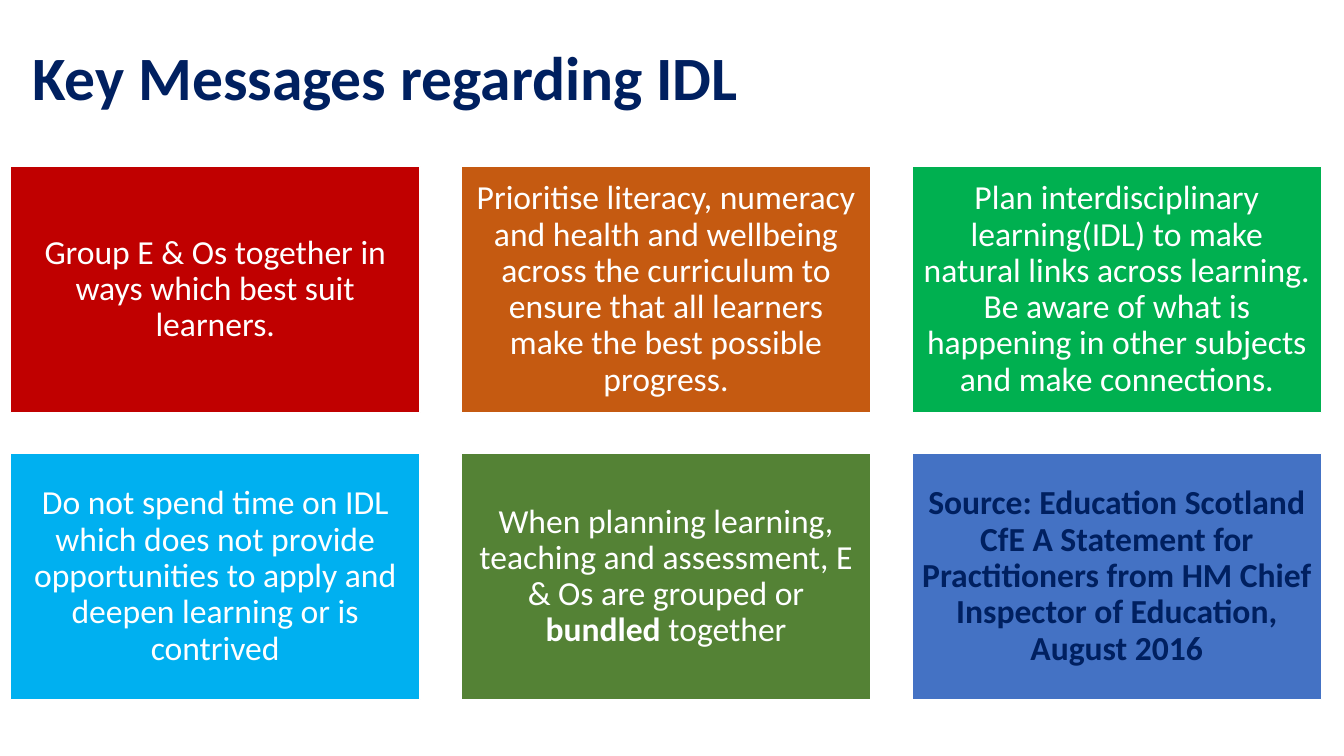
from dataclasses import dataclass

import pptx
import pptx.dml.color
import pptx.enum.shapes
import pptx.enum.text
import pptx.util

Cm = pptx.util.Cm
Pt = pptx.util.Pt
PP_ALIGN = pptx.enum.text.PP_ALIGN


@dataclass(frozen=True)
class Theme:
    font: str = "Calibri"
    title_size: int = 44
    card_size: int = 24
    navy: str = "002060"
    white: str = "FFFFFF"
    red: str = "C00000"
    orange: str = "C55A11"
    green: str = "00B050"
    sky: str = "00B0F0"
    olive: str = "548235"
    blue: str = "4472C4"


THEME = Theme()

# Fill, text colour, runs as (text, bold)
MESSAGES = [
    (THEME.red, THEME.white, [
        ("Group E & Os together in ways which best suit learners.", False)]),
    (THEME.orange, THEME.white, [
        ("Prioritise literacy, numeracy and health and wellbeing across the curriculum "
         "to ensure that all learners make the best possible progress.", False)]),
    (THEME.green, THEME.white, [
        ("Plan interdisciplinary learning(IDL) to make natural links across learning. "
         "Be aware of what is happening in other subjects and make connections.", False)]),
    (THEME.sky, THEME.white, [
        ("Do not spend time on IDL which does not provide opportunities to apply and "
         "deepen learning or is contrived", False)]),
    (THEME.olive, THEME.white, [
        ("When planning learning, teaching and assessment, E & Os are grouped or ", False),
        ("bundled", True),
        (" together", False)]),
    (THEME.blue, THEME.navy, [
        ("Source: Education Scotland CfE A Statement for Practitioners from HM Chief "
         "Inspector of Education, August 2016", True)]),
]


def rgb(value):
    return pptx.dml.color.RGBColor.from_string(value)


def apply_format(target, values):
    for name, value in values.items():
        setattr(target, name, value)


def write_text(shape, runs, size, color, alignment):
    """Fill the shape with one vertically centred paragraph of (text, bold) runs."""
    frame = shape.text_frame
    apply_format(frame, {
        "word_wrap": True,
        "vertical_anchor": pptx.enum.text.MSO_ANCHOR.MIDDLE,
        "margin_left": Cm(0.25), "margin_right": Cm(0.25),
        "margin_top": Cm(0.25), "margin_bottom": Cm(0.25),
    })
    paragraph = frame.paragraphs[0]
    apply_format(paragraph, {"alignment": alignment, "line_spacing": 0.9})
    for text, bold in runs:
        run = paragraph.add_run()
        run.text = text
        apply_format(run.font, {"name": THEME.font, "size": Pt(size), "bold": bold})
        run.font.color.rgb = rgb(color)


def add_title(slide, left, top, width, height):
    shape = slide.shapes.add_textbox(left, top, width, height)
    write_text(shape, [("Key Messages regarding IDL", True)],
               THEME.title_size, THEME.navy, PP_ALIGN.LEFT)


def add_card(slide, left, top, width, height, fill, color, runs):
    shape = slide.shapes.add_shape(
        pptx.enum.shapes.MSO_SHAPE.RECTANGLE, left, top, width, height)
    shape.shadow.inherit = False
    shape.fill.solid()
    shape.fill.fore_color.rgb = rgb(fill)
    shape.line.color.rgb = rgb(THEME.white)
    shape.line.width = Pt(1)
    write_text(shape, runs, THEME.card_size, color, PP_ALIGN.CENTER)


def add_message_grid(slide, left, top, width, height, columns=3, gap=Cm(1.03)):
    rows = -(-len(MESSAGES) // columns)
    card_width = (width - gap * (columns - 1)) // columns
    card_height = (height - gap * (rows - 1)) // rows
    for index, message in enumerate(MESSAGES):
        row, column = divmod(index, columns)
        add_card(slide, left + column * (card_width + gap), top + row * (card_height + gap),
                 card_width, card_height, *message)


def main():
    presentation = pptx.Presentation()
    presentation.slide_width = Cm(33.87)
    presentation.slide_height = Cm(19.05)
    slide = presentation.slides.add_slide(presentation.slide_layouts[6])
    add_title(slide, Cm(0.56), Cm(0.18), Cm(29.21), Cm(3.68))
    add_message_grid(slide, Cm(0.26), Cm(4.2), Cm(33.05), Cm(13.43))
    presentation.save("out.pptx")


if __name__ == "__main__":
    main()
